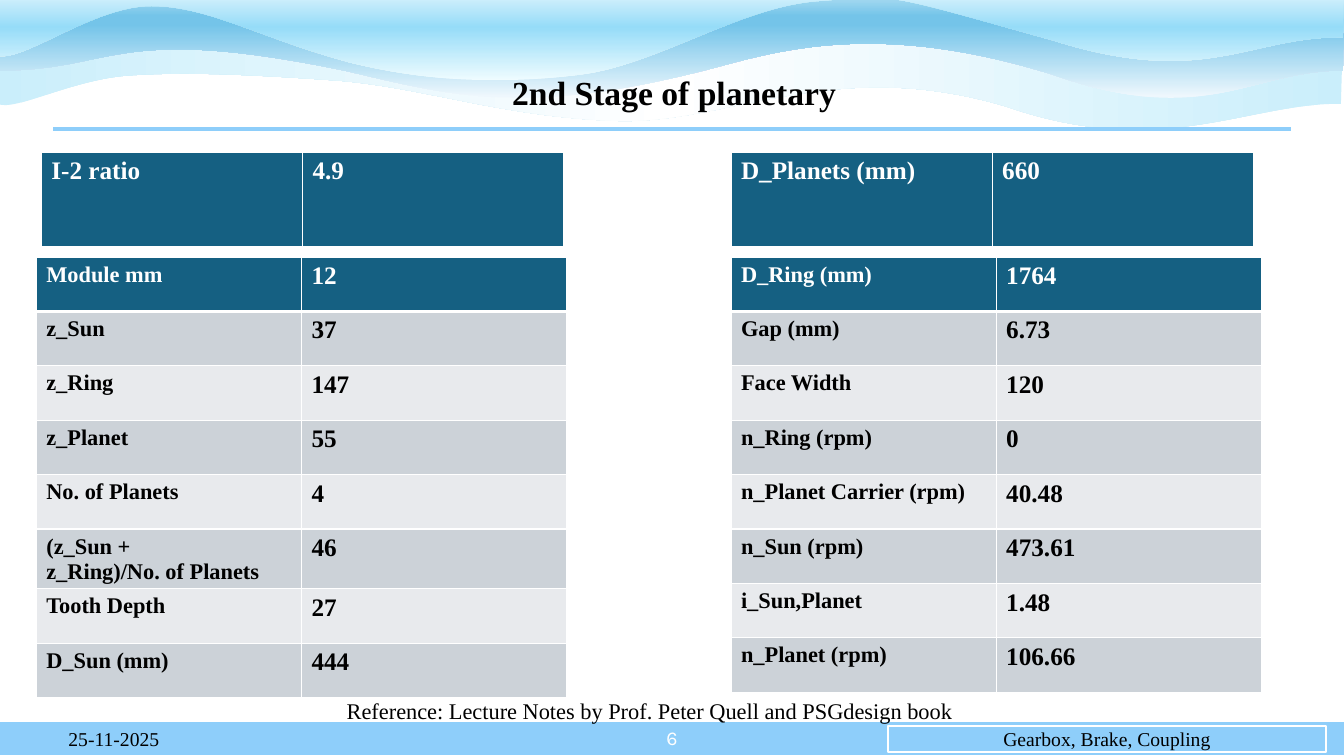
import dataclasses

import lxml.etree
import pptx
import pptx.dml.color
import pptx.enum.shapes
import pptx.enum.text
import pptx.oxml.ns
import pptx.util

Inches, Pt = pptx.util.Inches, pptx.util.Pt
ALIGN = pptx.enum.text.PP_ALIGN
MIDDLE = pptx.enum.text.MSO_ANCHOR.MIDDLE
SHAPE = pptx.enum.shapes.MSO_SHAPE
qn = pptx.oxml.ns.qn


@dataclasses.dataclass(frozen=True)
class Theme:
    font: str = "Times New Roman"
    number_font: str = "Karla"
    black: str = "000000"
    white: str = "FFFFFF"
    sky: str = "8ECEFA"
    header: str = "156082"
    bands: tuple = ("CCD2D8", "E8EAED")
    title: int = 24
    value: int = 18
    label: int = 16
    footer: int = 14


THEME = Theme()
NBSP = chr(160)  # keeps words on one line

TITLE = "2nd Stage of planetary"
REFERENCE = "Reference: Lecture Notes by Prof. Peter Quell and PSGdesign book"
DATE = "25-11-2025"
TOPIC = "Gearbox, Brake, Coupling"
NUMBER = "6"

# left, top, column width, row height, label size, rows
TABLES = [
    (0.36, 2.55, 2.63, 0.54, THEME.label, [
        ("Module mm", "12"), ("z_Sun", "37"), ("z_Ring", "147"),
        ("z_Planet", "55"), ("No. of Planets", "4"),
        (f"(z_Sun + z_Ring)/No.{NBSP}of{NBSP}Planets", "46"),
        ("Tooth Depth", "27"), ("D_Sun (mm)", "444")]),
    (0.41, 1.51, 2.59, 0.95, THEME.value, [("I-2 ratio", "4.9")]),
    (7.25, 1.51, 2.59, 0.95, THEME.value, [("D_Planets (mm)", "660")]),
    (7.25, 2.55, 2.63, 0.54, THEME.label, [
        ("D_Ring (mm)", "1764"), ("Gap (mm)", "6.73"),
        ("Face Width", "120"), ("n_Ring (rpm)", "0"),
        ("n_Planet Carrier (rpm)", "40.48"), ("n_Sun (rpm)", "473.61"),
        ("i_Sun,Planet", "1.48"), ("n_Planet (rpm)", "106.66")]),
]

# height, start, Bezier segments of the lower edge, corners of the upper edge,
# gradient stops, gradient angle
WAVES = [
    (0.98, (13.3, 1.03),
     [(12.37, 1.02, 11.52, 1.59, 9.99, 1.06), (8.27, 0.54, 7.21, 1.24, 6.1, 1.2),
      (4.99, 1.16, 4.21, 0.87, 3.35, 0.8), (2.49, 0.74, 1.83, 0.71, 1.27, 0.75),
      (0.71, 0.79, 0.14, 1.11, -0.02, 1.03)],
     [(-0.04, 0.3), (3.13, 0.31), (6.52, 0.34), (9.41, 0.32), (13.32, 0.34)],
     [(0, "CAEEFB"), (50, "FFFFFF"), (100, "CAEEFB")], 0),
    (0.98, (13.32, 0.7),
     [(12.39, 0.7, 11.96, 1.28, 10.44, 0.74), (8.71, 0.2, 7.73, 0.5, 7.06, 0.68),
      (5.28, 1.14, 4.59, 0.98, 3.46, 0.71), (1.13, 0.22, 1.15, 0.7, 0, 0.7)],
     [(0.01, 0), (3.13, 0.01), (6.54, -0.01), (9.46, 0), (13.33, 0.04)],
     [(0, "F0F8FD"), (74, "74C4E9"), (83, "74C4E9"), (100, "A2D8F0")], 90),
    (1.06, (13.32, 0.37),
     [(12.39, 0.36, 11.96, 0.88, 10.44, 0.4), (8.72, -0.08, 8.91, -0.05, 8.13, 0.01),
      (7.35, 0.06, 6.53, 0.64, 5.76, 0.74), (4.98, 0.84, 4.24, 0.81, 3.47, 0.62),
      (2.58, 0.38, 2.07, 0.06, 1.5, 0.06), (0.92, 0.06, 0.22, 0.63, -0.03, 0.55)],
     [(0.01, -0.25), (3.13, -0.24), (6.54, -0.26), (9.46, -0.25), (13.33, -0.22)],
     [(0, "EFFCFF"), (50, "96DCF8"), (100, "FFFFFF")], 90),
]


def rgb(color):
    return pptx.dml.color.RGBColor.from_string(color)


def write(tf, text, size, color=THEME.black, bold=False, align=None, font=THEME.font):
    tf.word_wrap = True
    p = tf.paragraphs[0]
    p.text = text
    p.alignment = align
    p.font.name, p.font.size, p.font.bold = font, Pt(size), bold
    p.font.color.rgb = rgb(color)
    return p


def add_text(slide, box, text, size, anchor=MIDDLE, **style):
    tf = slide.shapes.add_textbox(*map(Inches, box)).text_frame
    tf.vertical_anchor = anchor
    write(tf, text, size, **style)


def add_bar(slide, box):
    sp = slide.shapes.add_shape(SHAPE.RECTANGLE, *map(Inches, box))
    sp.shadow.inherit = False
    sp.fill.solid()
    sp.fill.fore_color.rgb = rgb(THEME.sky)
    sp.line.color.rgb = rgb(THEME.white)
    sp.line.width = Pt(1.5)
    return sp


def bend_edges(sp, curves):
    """Turn the first straight edges of a freeform into cubic curves."""
    edges = list(sp.element.iter(qn("a:lnTo")))
    for edge, curve in zip(edges, curves):
        bend = lxml.etree.Element(qn("a:cubicBezTo"))
        for x, y in zip(curve[::2], curve[1::2]):
            lxml.etree.SubElement(bend, qn("a:pt"), x=str(Inches(x) - sp.left),
                                  y=str(Inches(y) - sp.top))
        edge.getparent().replace(edge, bend)


def add_wave(slide, height, start, curves, corners, stops, angle):
    ends = [curve[4:] for curve in curves]
    builder = slide.shapes.build_freeform(*map(Inches, start), scale=1.0)
    builder.add_line_segments([tuple(map(Inches, pt)) for pt in ends + corners], close=True)
    sp = builder.convert_to_shape()
    bend_edges(sp, curves)
    sp.height = Inches(height)
    next(sp.element.iter(qn("a:path"))).set("h", str(Inches(height)))
    sp.shadow.inherit = False
    sp.line.fill.background()
    sp.fill.gradient()
    sp.fill.gradient_angle = angle
    stop_list = next(sp.element.iter(qn("a:gsLst")))
    for old in list(stop_list):
        stop_list.remove(old)
    for position, color in stops:
        stop = lxml.etree.SubElement(stop_list, qn("a:gs"), pos=str(position * 1000))
        lxml.etree.SubElement(stop, qn("a:srgbClr"), val=color)


def add_borders(cell, bottom):
    tc_pr = cell._tc.get_or_add_tcPr()
    for side, width in (("L", 1), ("R", 1), ("T", 1), ("B", bottom)):
        line = lxml.etree.SubElement(tc_pr, qn("a:ln" + side), w=str(Pt(width)))
        fill = lxml.etree.SubElement(line, qn("a:solidFill"))
        lxml.etree.SubElement(fill, qn("a:srgbClr"), val=THEME.white)


def add_gear_table(slide, left, top, col_width, row_height, label_size, rows):
    table = slide.shapes.add_table(
        len(rows), 2, Inches(left), Inches(top),
        Inches(2 * col_width), Inches(row_height * len(rows))).table
    for column in table.columns:
        column.width = Inches(col_width)
    for i, row in enumerate(rows):
        table.rows[i].height = Inches(row_height)
        is_header = i == 0
        for j, (text, size) in enumerate(zip(row, (label_size, THEME.value))):
            cell = table.cell(i, j)
            add_borders(cell, 3 if is_header else 1)
            cell.margin_bottom = Inches(0.01)
            cell.fill.solid()
            cell.fill.fore_color.rgb = rgb(THEME.header if is_header else THEME.bands[(i - 1) % 2])
            write(cell.text_frame, text, size, THEME.white if is_header else THEME.black, bold=True)


def main():
    prs = pptx.Presentation()
    prs.slide_width, prs.slide_height = Inches(13.33), Inches(7.5)
    slide = prs.slides.add_slide(prs.slide_layouts[5])

    for wave in WAVES:
        add_wave(slide, *wave)
    add_bar(slide, (-0.01, 7.15, 13.35, 0.35))
    add_text(slide, (6.51, 7.12, 0.31, 0.4), NUMBER, THEME.footer,
             color=THEME.white, align=ALIGN.RIGHT, font=THEME.number_font)

    title = slide.shapes.title
    title.left, title.top, title.width, title.height = map(Inches, (0.57, 0.55, 12.23, 0.78))
    title.text_frame.vertical_anchor = MIDDLE
    p = write(title.text_frame, TITLE, THEME.title, bold=True, align=ALIGN.CENTER)
    p.line_spacing = 0.9
    title.element.getparent().append(title.element)  # in front of the waves

    rule = slide.shapes.add_connector(
        pptx.enum.shapes.MSO_CONNECTOR.STRAIGHT, *map(Inches, (0.53, 1.28, 12.8, 1.28)))
    rule.line.color.rgb = rgb(THEME.sky)
    rule.line.width = Pt(3)
    lxml.etree.SubElement(rule.element.spPr, qn("a:effectLst"))

    topic = add_bar(slide, (8.81, 7.2, 4.34, 0.26))
    topic.text_frame.vertical_anchor = MIDDLE
    write(topic.text_frame, TOPIC, THEME.footer, align=ALIGN.CENTER)
    add_text(slide, (0.13, 7.13, 2, 0.4), DATE, THEME.footer, align=ALIGN.CENTER)

    for table in TABLES:
        add_gear_table(slide, *table)
    add_text(slide, (3.34, 6.87, 7.49, 0.37), REFERENCE, THEME.label,
             anchor=pptx.enum.text.MSO_ANCHOR.TOP)
    prs.save("out.pptx")


if __name__ == "__main__":
    main()
